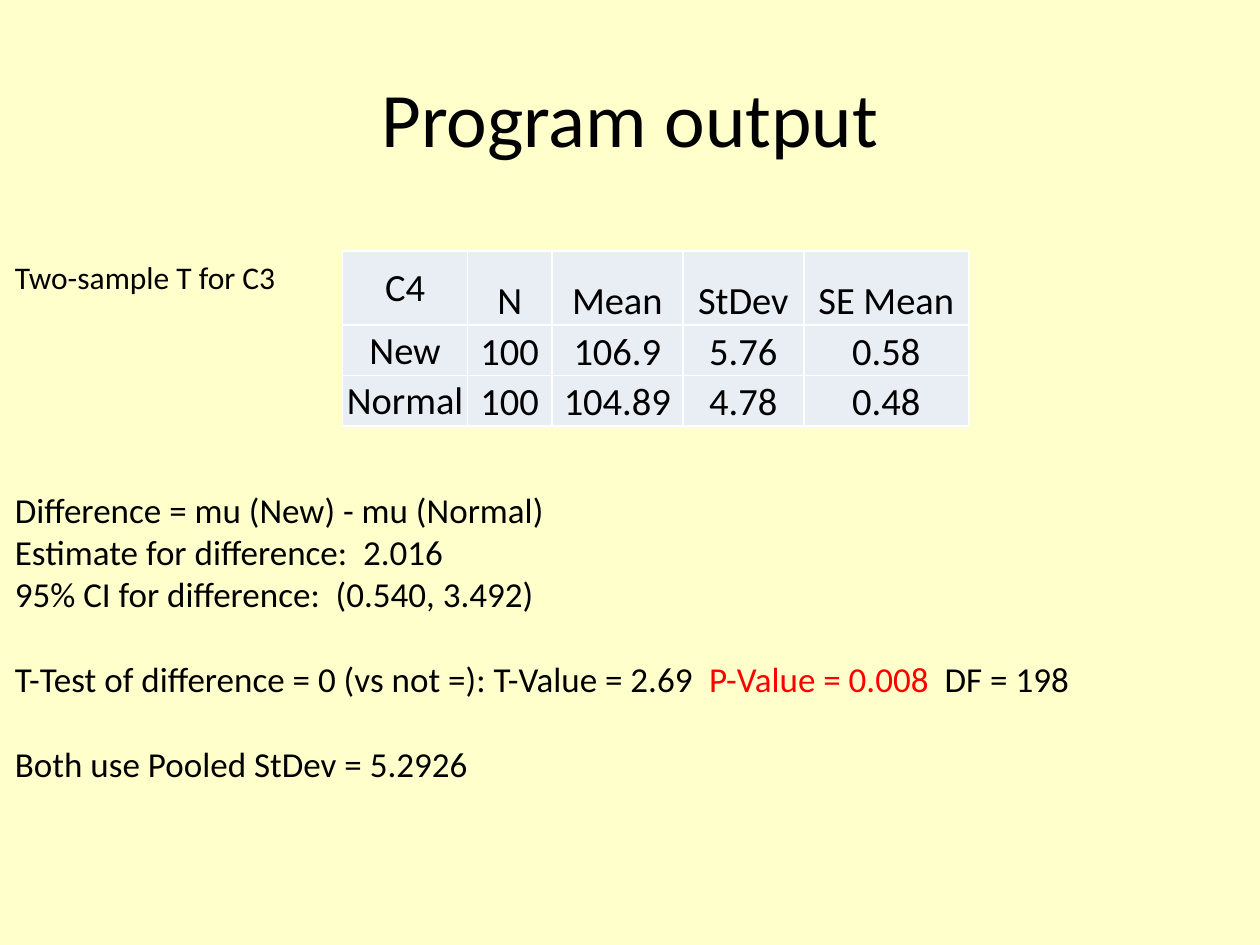
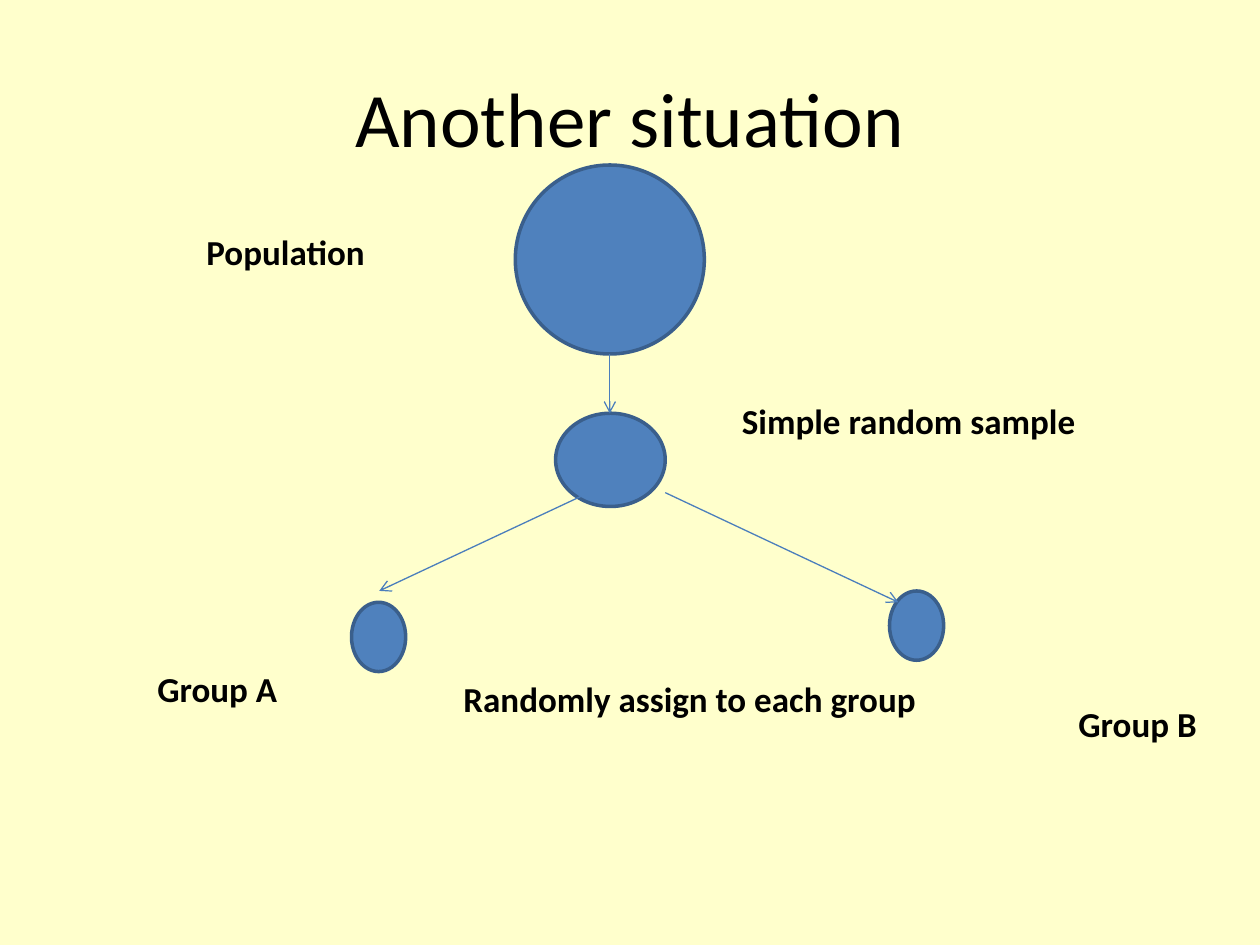
from lxml.etree import SubElement
from pptx import Presentation
from pptx.dml.color import RGBColor
from pptx.enum.shapes import MSO_CONNECTOR, MSO_SHAPE
from pptx.enum.text import MSO_ANCHOR, PP_ALIGN
from pptx.oxml.ns import qn
from pptx.util import Inches, Pt

COLORS = {
    "background": "FFFFCC",
    "text": "000000",
    "highlight": "FF0000",
    "cell": "E9EDF4",
    "border": "FFFFFF",
    "circle": "4F81BD",
    "outline": "3A5F8C",
    "arrow": "4B7EBC",
}
TITLE = {"name": "Calibri", "size": Pt(44)}
HEADING = {"name": "Calibri", "size": Pt(18)}
BODY = {"name": "Calibri", "size": Pt(20)}
LABEL = {"name": "Calibri", "size": Pt(20), "bold": True}
CELL = {"name": "Calibri", "size": Pt(22)}
LINE_GAP = Pt(24.4)


def rgb(role):
    """Return the colour that plays the given role."""
    return RGBColor.from_string(COLORS[role])


def write(frame, paragraphs, style, align=PP_ALIGN.LEFT):
    """Fill a text frame; each paragraph is (space before, [(text, colour role)])."""
    for index, (space, runs) in enumerate(paragraphs):
        paragraph = frame.add_paragraph() if index else frame.paragraphs[0]
        paragraph.alignment = align
        paragraph.space_before = space
        for text, role in runs:
            run = paragraph.add_run()
            run.text = text
            for attribute, value in style.items():
                setattr(run.font, attribute, value)
            run.font.color.rgb = rgb(role)


prs = Presentation()
prs.slide_width, prs.slide_height = Inches(10), Inches(7.5)
background = prs.slide_master.background.fill
background.solid()
background.fore_color.rgb = rgb("background")

# Both slides share the title band
slides = []
for title in ("Program output", "Another situation"):
    slide = prs.slides.add_slide(prs.slide_layouts[6])
    frame = slide.shapes.add_textbox(
        Inches(0.5), Inches(0.3), Inches(9), Inches(1.25)).text_frame
    frame.word_wrap = True
    frame.vertical_anchor = MSO_ANCHOR.MIDDLE
    write(frame, [(Pt(0), [(title, "text")])], TITLE, PP_ALIGN.CENTER)
    slides.append(slide)
output_slide, design_slide = slides

# Slide 1: test results
heading = [(Pt(0), [("Two-sample T for C3", "text")])]
results = [
    (Pt(0), [("Difference = mu (New) - mu (Normal)", "text")]),
    (Pt(0), [("Estimate for difference:  2.016", "text")]),
    (Pt(0), [("95% CI for difference:  (0.540, 3.492)", "text")]),
    (LINE_GAP, [
        ("T-Test of difference = 0 (vs not =): T-Value = 2.69  ", "text"),
        ("P-Value = 0.008", "highlight"),
        ("  DF = 198", "text"),
    ]),
    (LINE_GAP, [("Both use Pooled StDev = 5.2926", "text")]),
]
for top, width, height, paragraphs, style in (
    (2.0, 2.6, 0.4, heading, HEADING),
    (3.83, 9.07, 2.44, results, BODY),
):
    frame = output_slide.shapes.add_textbox(
        Inches(0.02), Inches(top), Inches(width), Inches(height)).text_frame
    frame.word_wrap = True
    write(frame, paragraphs, style)

# Slide 1: summary table
summary = [
    ("C4", "N", "Mean", "StDev", "SE Mean"),
    ("New", "100", "106.9", "5.76", "0.58"),
    ("Normal", "100", "104.89", "4.78", "0.48"),
]
column_widths = (0.99, 0.67, 1.04, 0.96, 1.31)
row_heights = (0.59, 0.4, 0.4)
cell_format = {
    "margin_left": Inches(0.01),
    "margin_right": Inches(0.01),
    "margin_top": Inches(0.01),
    "margin_bottom": 0,
}
table = output_slide.shapes.add_table(
    len(row_heights), len(column_widths), Inches(2.72), Inches(1.99),
    Inches(sum(column_widths)), Inches(sum(row_heights))).table
table.first_row = table.horz_banding = False
for column, width in zip(table.columns, column_widths):
    column.width = Inches(width)
for row, height in zip(table.rows, row_heights):
    row.height = Inches(height)
for r, values in enumerate(summary):
    for c, value in enumerate(values):
        cell = table.cell(r, c)
        for attribute, setting in cell_format.items():
            setattr(cell, attribute, setting)
        cell.vertical_anchor = MSO_ANCHOR.BOTTOM if c else MSO_ANCHOR.MIDDLE
        write(cell.text_frame, [(Pt(0), [(value, "text")])], CELL, PP_ALIGN.CENTER)
        properties = cell._tc.get_or_add_tcPr()
        for side in ("a:lnL", "a:lnR", "a:lnT", "a:lnB"):
            border = SubElement(properties, qn(side), w=str(Pt(1)))
            fill = SubElement(border, qn("a:solidFill"))
            SubElement(fill, qn("a:srgbClr"), val=COLORS["border"])
        cell.fill.solid()
        cell.fill.fore_color.rgb = rgb("cell")

# Slide 2: population, sample, group A, group B
for left, top, width, height in (
    (4.09, 1.31, 1.5, 1.5),
    (4.41, 3.28, 0.87, 0.74),
    (2.79, 4.78, 0.43, 0.55),
    (7.06, 4.69, 0.43, 0.55),
):
    circle = design_slide.shapes.add_shape(
        MSO_SHAPE.OVAL, Inches(left), Inches(top), Inches(width), Inches(height))
    circle.shadow.inherit = False
    circle.fill.solid()
    circle.fill.fore_color.rgb = rgb("circle")
    circle.line.color.rgb = rgb("outline")
    circle.line.width = Pt(2)

for points in (
    (4.84, 2.81, 4.84, 3.28),
    (4.61, 3.94, 3.01, 4.69),
    (5.28, 3.91, 7.13, 4.78),
):
    arrow = design_slide.shapes.add_connector(
        MSO_CONNECTOR.STRAIGHT, *[Inches(point) for point in points])
    arrow.line.color.rgb = rgb("arrow")
    arrow.line.width = Pt(0.75)
    arrow_properties = arrow._element.spPr
    SubElement(arrow_properties.find(qn("a:ln")), qn("a:tailEnd"), type="arrow")
    SubElement(arrow_properties, qn("a:effectLst"))

for text, left, top, width in (
    ("Population", 1.54, 1.78, 1.47),
    ("Simple random sample", 5.79, 3.12, 2.87),
    ("Randomly assign to each group", 3.58, 5.33, 3.82),
    ("Group A", 1.15, 5.25, 1.16),
    ("Group B", 8.46, 5.53, 1.15),
):
    frame = design_slide.shapes.add_textbox(
        Inches(left), Inches(top), Inches(width), Inches(0.44)).text_frame
    frame.word_wrap = False
    write(frame, [(Pt(0), [(text, "text")])], LABEL)

prs.save("out.pptx")
